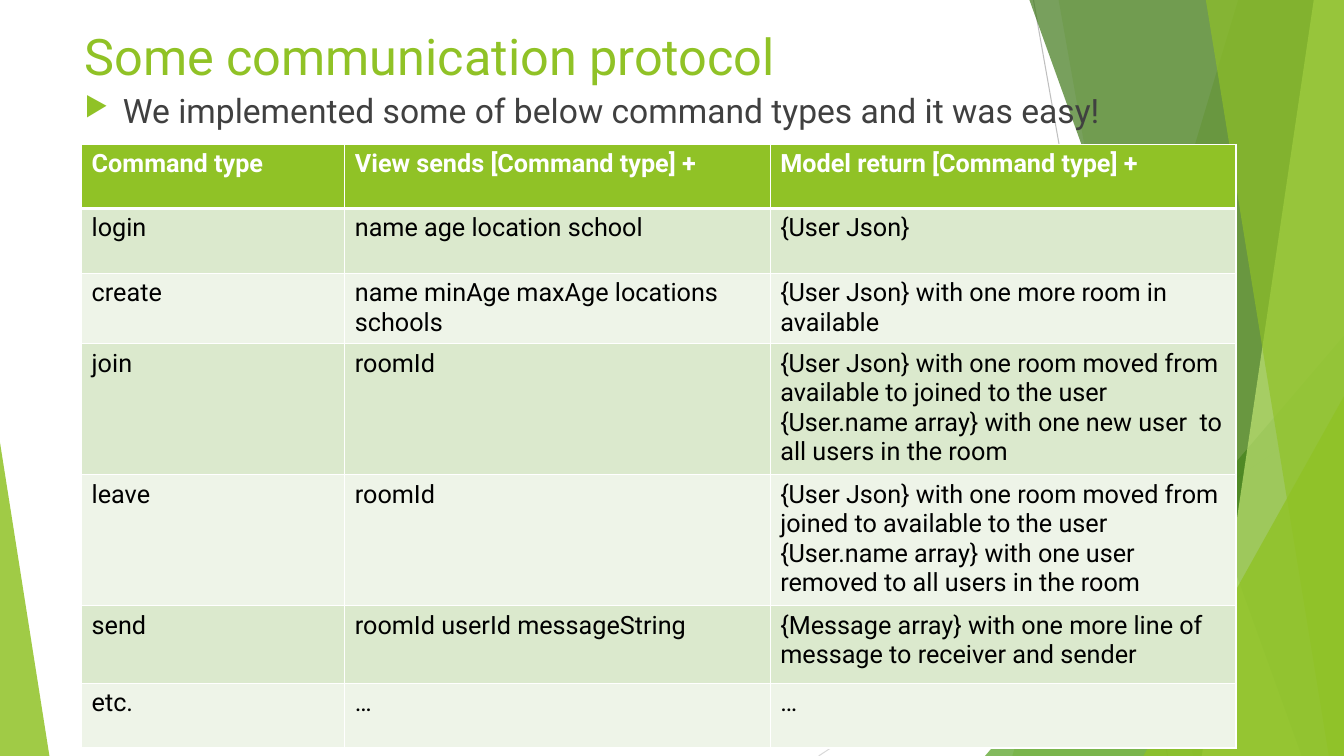
import pptx
import pptx.dml.color
import pptx.enum.shapes
import pptx.enum.text
import pptx.oxml
import pptx.oxml.ns
import pptx.util
from pptx.util import Inches

FONT = "Roboto"
GREEN = "90C226"
WHITE = "FFFFFF"
BANDS = ("DBE9CD", "EEF4E8")
NAMESPACE = pptx.oxml.ns.nsdecls("a")

# Slanted panels: points, colour, opacity in percent
PANELS_BEHIND = [
    ([(12.28, 0), (13.33, 0), (13.33, 7.5), (10.04, 7.5)], GREEN, 30),
    ([(10.5, 0), (13.33, 0), (13.33, 7.5), (11.83, 7.5)], GREEN, 20),
]
PANELS_FRONT = [
    ([(10.21, 0), (13.33, 0), (13.33, 7.5), (12.91, 7.5)], "3F7819", 70),
    ([(13.03, 0), (13.33, 0), (13.33, 7.5), (11.92, 7.5)], "C0E474", 70),
    ([(11.96, 0), (13.33, 0), (13.33, 7.5), (13.18, 7.5)], GREEN, 65),
]

COLUMN_WIDTHS = (2.61, 4.22, 4.62)
ROW_HEIGHTS = (0.64, 0.64, 0.64, 1.24, 1.24, 0.77, 0.64)
COMMANDS = [
    ("Command type", "View sends [Command type] +", "Model return [Command type] +"),
    ("login", "name age location school", "{User Json}"),
    ("create", "name minAge maxAge locations schools",
     "{User Json} with one more room in available"),
    ("join", "roomId",
     "{User Json} with one room moved from available to joined to the user\n"
     "{User.name array} with one new user  to all users in the room"),
    ("leave", "roomId",
     "{User Json} with one room moved from joined to available to the user\n"
     "{User.name array} with one user removed to all users in the room"),
    ("send", "roomId userId messageString",
     "{Message array} with one more line of message to receiver and sender"),
    ("etc.", "…", "…"),
]


def color(value):
    return pptx.dml.color.RGBColor.from_string(value)


def format_font(font, size, font_color, bold=False):
    values = {"name": FONT, "size": pptx.util.Pt(size), "bold": bold}
    for name, value in values.items():
        setattr(font, name, value)
    font.color.rgb = color(font_color)


def paint(shape, fill_color, opacity):
    shape.shadow.inherit = False
    shape.line.fill.background()
    shape.fill.solid()
    shape.fill.fore_color.rgb = color(fill_color)
    color_element = shape.fill._xPr.find(".//" + pptx.oxml.ns.qn("a:srgbClr"))
    color_element.append(pptx.oxml.parse_xml(
        f'<a:alpha {NAMESPACE} val="{opacity * 1000}"/>'))


def add_line(slide, start, end, line_color):
    line = slide.shapes.add_connector(
        pptx.enum.shapes.MSO_CONNECTOR.STRAIGHT,
        *(Inches(value) for value in start + end))
    line.line.color.rgb = color(line_color)
    line.line.width = pptx.util.Pt(0.75)
    line._element.spPr.append(pptx.oxml.parse_xml(f"<a:effectLst {NAMESPACE}/>"))


def add_panel(slide, points, fill_color, opacity):
    corners = [(Inches(x), Inches(y)) for x, y in points]
    builder = slide.shapes.build_freeform(*corners[0])
    builder.add_line_segments(corners[1:], close=True)
    paint(builder.convert_to_shape(), fill_color, opacity)


def add_triangle(slide, box, apex, fill_color, opacity):
    triangle = slide.shapes.add_shape(
        pptx.enum.shapes.MSO_SHAPE.ISOSCELES_TRIANGLE,
        *(Inches(value) for value in box))
    triangle.adjustments[0] = apex
    paint(triangle, fill_color, opacity)


def add_text(slide, box, text, size, font_color):
    text_box = slide.shapes.add_textbox(*(Inches(value) for value in box))
    frame = text_box.text_frame
    values = {"word_wrap": True, "vertical_anchor": pptx.enum.text.MSO_ANCHOR.TOP}
    for name, value in values.items():
        setattr(frame, name, value)
    paragraph = frame.paragraphs[0]
    run = paragraph.add_run()
    run.text = text
    format_font(run.font, size, font_color)
    return paragraph


def add_bullet(paragraph):
    paragraph.space_before = pptx.util.Pt(10)
    properties = paragraph._p.get_or_add_pPr()
    properties.set("marL", str(Inches(0.38)))
    properties.set("indent", str(-Inches(0.38)))
    for xml in (f'<a:buClr {NAMESPACE}><a:srgbClr val="{GREEN}"/></a:buClr>',
                f'<a:buSzPct {NAMESPACE} val="80000"/>',
                f'<a:buChar {NAMESPACE} char="▶"/>'):
        properties.append(pptx.oxml.parse_xml(xml))


def set_borders(cell, row):
    widths = {"lnL": 1, "lnR": 1, "lnT": 3 if row == 1 else 1, "lnB": 3 if row == 0 else 1}
    properties = cell._tc.get_or_add_tcPr()
    for position, (side, width) in enumerate(widths.items()):
        properties.insert(position, pptx.oxml.parse_xml(
            f'<a:{side} {NAMESPACE} w="{pptx.util.Pt(width)}"><a:solidFill>'
            f'<a:srgbClr val="{WHITE}"/></a:solidFill></a:{side}>'))


def add_command_table(slide):
    table = slide.shapes.add_table(
        len(COMMANDS), len(COLUMN_WIDTHS), Inches(0.81), Inches(1.43),
        Inches(sum(COLUMN_WIDTHS)), Inches(sum(ROW_HEIGHTS))).table
    for column, width in zip(table.columns, COLUMN_WIDTHS):
        column.width = Inches(width)
    for row, (height, texts) in enumerate(zip(ROW_HEIGHTS, COMMANDS)):
        table.rows[row].height = Inches(height)
        header = row == 0
        for column, text in enumerate(texts):
            cell = table.cell(row, column)
            cell.text = text
            cell.fill.solid()
            cell.fill.fore_color.rgb = color(GREEN if header else BANDS[(row - 1) % 2])
            set_borders(cell, row)
            for paragraph in cell.text_frame.paragraphs:
                format_font(paragraph.runs[0].font, 18,
                            WHITE if header else "000000", header)


def main():
    presentation = pptx.Presentation()
    presentation.slide_width = Inches(13.33)
    presentation.slide_height = Inches(7.5)
    slide = presentation.slides.add_slide(presentation.slide_layouts[6])

    # Background facets
    add_line(slide, (10.25, 0), (11.58, 7.5), "BFBFBF")
    add_line(slide, (13.33, 4.03), (8.12, 7.5), "D9D9D9")
    for panel in PANELS_BEHIND:
        add_panel(slide, *panel)
    add_triangle(slide, (9.77, 3.33, 3.56, 4.17), 1, "54A021", 72)
    for panel in PANELS_FRONT:
        add_panel(slide, *panel)
    add_triangle(slide, (11.34, 3.93, 1.99, 3.57), 1, GREEN, 80)
    add_triangle(slide, (0, 4.39, 0.49, 3.11), 0, GREEN, 85)

    # Title, command table and summary line
    add_text(slide, (0.74, 0.2, 9.4, 1.44), "Some communication protocol", 36, GREEN)
    add_command_table(slide)
    summary = add_text(
        slide, (0.74, 0.84, 12.9, 0.65),
        "We implemented some of below command types and it was easy!", 24, "404040")
    add_bullet(summary)

    presentation.save("out.pptx")


if __name__ == "__main__":
    main()
